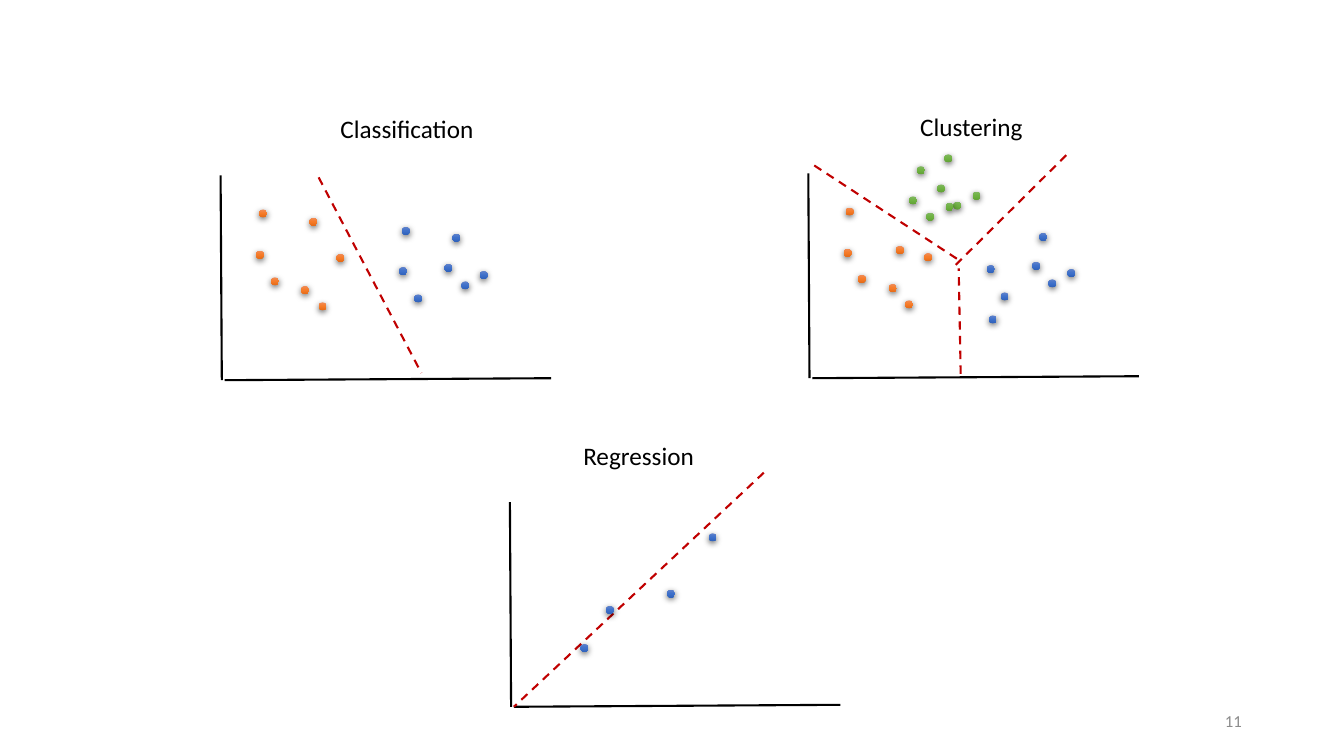
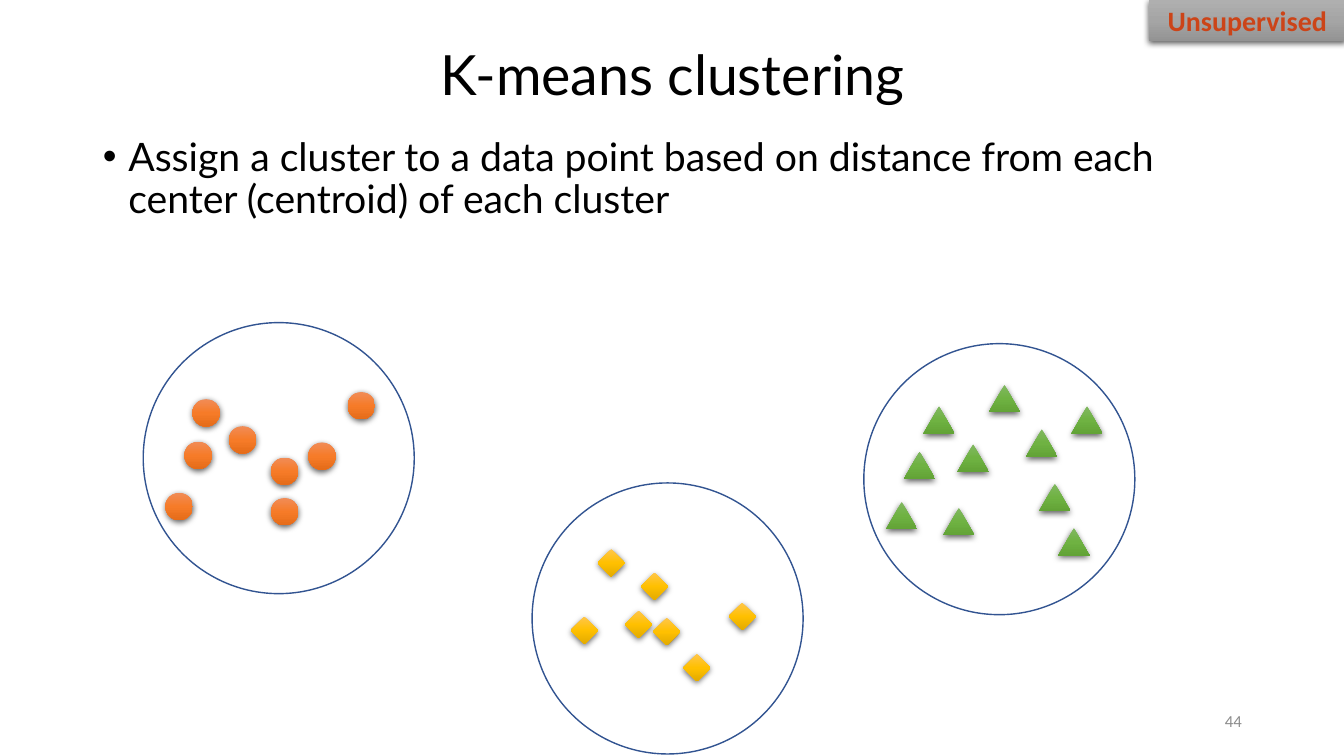
"""Build two slides on classification, clustering and regression."""
from dataclasses import dataclass
from lxml import etree
from pptx import Presentation
from pptx.dml.color import RGBColor
from pptx.enum.dml import MSO_LINE_DASH_STYLE as Dash
from pptx.enum.shapes import MSO_CONNECTOR as Link, MSO_SHAPE as Kind
from pptx.enum.text import MSO_ANCHOR as Anchor, MSO_AUTO_SIZE as Fit, PP_ALIGN as Align
from pptx.oxml import parse_xml
from pptx.oxml.ns import nsdecls, qn
from pptx.util import Cm, Pt


@dataclass(frozen=True)
class Theme:
    head: str = "Lato"
    font: str = "Calibri"
    black: str = "000000"
    cut: str = "C00000"
    ring: str = "325491"
    page: str = "8C8C8C"
    alert: str = "CC4418"
    orange: tuple = ("F18C57", "F67B28", "E56C19")
    blue: tuple = ("6183CB", "3E70CA", "3062BB")
    green: tuple = ("81B861", "6FB242", "62A336")
    gold: tuple = ("FFC64B", "FFC000", "E3AB00")
    gray: tuple = ("AFAFAF", "A5A5A5", "939393")
    title_size: float = 39.6
    body_size: int = 28
    badge_size: int = 20
    label_size: int = 18
    page_size: int = 12


T = Theme()
DOT = (0.2, 0.2)
MARK = (0.69, 0.69)
WEDGE = (0.79, 0.69)
RING = 6.83

PLOTS = [
    ("Classification", (8.33, 2.72, 4.04), (5.56, 4.42),
     [((8.03, 4.47), (10.62, 9.4))],
     [(T.orange, [(6.53, 5.28), (7.8, 5.49), (6.45, 6.32), (7.59, 7.21),
                  (6.83, 6.99), (8.03, 7.62), (8.48, 6.4)]),
      (T.blue, [(10.13, 5.72), (11.4, 5.89), (10.06, 6.73), (11.2, 6.65),
                (10.44, 7.42), (11.63, 7.09), (12.09, 6.83)])]),
    ("Clustering", (22.94, 2.69, 3.12), (20.37, 4.37),
     [((20.52, 4.17), (24.13, 6.53)), ((26.87, 3.91), (24.05, 6.71)),
      ((24.21, 9.42), (24.16, 6.76))],
     [(T.orange, [(21.31, 5.23), (22.58, 6.2), (21.26, 6.27), (22.4, 7.16),
                  (21.62, 6.93), (22.81, 7.57), (23.29, 6.38)]),
      (T.blue, [(24.92, 7.95), (26.19, 5.87), (24.87, 6.68), (26.01, 6.6),
                (25.22, 7.37), (26.42, 7.04), (26.9, 6.78)]),
      (T.green, [(23.8, 3.89), (23.62, 4.65), (24.03, 5.08), (24.51, 4.83),
                 (23.11, 4.19), (22.91, 4.95), (23.34, 5.36), (23.83, 5.11)])]),
    ("Regression", (14.45, 10.97, 3.33), (12.85, 12.65),
     [((19.25, 11.91), (12.95, 17.81))],
     [(T.blue, [(17.86, 13.44), (16.81, 14.86), (15.27, 15.27), (14.63, 16.23)])]),
]

GROUPS = [
    (Kind.OVAL, MARK, T.orange, (3.61, 8.13),
     [(8.76, 9.88), (4.85, 10.06), (5.77, 10.74), (6.83, 11.53),
      (7.77, 11.15), (4.17, 12.42), (6.83, 12.55), (4.65, 11.13)]),
    (Kind.ISOSCELES_TRIANGLE, WEDGE, T.green, (21.77, 8.66),
     [(22.78, 11.38), (24.13, 11.2), (23.27, 10.24), (25.86, 10.82), (22.33, 12.65),
      (24.92, 9.7), (23.77, 12.8), (26.19, 12.19), (27, 10.24), (26.67, 13.31)]),
    (Kind.DIAMOND, MARK, T.gold, (13.41, 12.17),
     [(15.75, 15.39), (16.15, 14.43), (18.36, 15.19), (16.46, 15.57),
      (15.06, 13.84), (17.22, 16.48), (14.38, 15.54)]),
]


def rgb(code):
    return RGBColor.from_string(code)


def write(frame, text, size, color=T.black, font=T.font, align=Align.LEFT, bold=False):
    para = frame.paragraphs[0]
    para.text = text
    para.alignment = align
    face = para.font
    face.name, face.size, face.bold = font, Pt(size), bold
    face.color.rgb = rgb(color)
    return para


def add_text(slide, box, text, size, color=T.black, align=Align.LEFT,
             anchor=Anchor.TOP, wrap=True):
    frame = slide.shapes.add_textbox(*map(Cm, box)).text_frame
    frame.word_wrap = wrap
    frame.vertical_anchor = anchor
    write(frame, text, size, color, align=align)


def add_page(slide, number):
    add_text(slide, (23.93, 17.65, 7.62, 1.02), number, T.page_size, T.page,
             Align.RIGHT, Anchor.MIDDLE)


def add_line(slide, start, end, color=T.black, dash=None):
    line = slide.shapes.add_connector(Link.STRAIGHT, *map(Cm, (*start, *end)))
    line.line.color.rgb = rgb(color)
    line.line.width = Pt(1.5)
    if dash:
        line.line.dash_style = dash
    etree.SubElement(line._element.spPr, qn("a:effectLst"))


def add_solid(slide, kind, box, tones):
    shape = slide.shapes.add_shape(kind, *map(Cm, box))
    shape.line.fill.background()
    shape.shadow.inherit = False
    stops = "".join(f'<a:gs pos="{i * 50000}"><a:srgbClr val="{tone}"/></a:gs>'
                    for i, tone in enumerate(tones))
    props = shape._element.spPr
    props.find(qn("a:ln")).addprevious(parse_xml(
        f'<a:gradFill {nsdecls("a")} rotWithShape="1"><a:gsLst>{stops}</a:gsLst>'
        '<a:lin ang="5400000" scaled="0"/></a:gradFill>'))
    props.find(qn("a:effectLst")).append(parse_xml(
        f'<a:outerShdw {nsdecls("a")} blurRad="57150" dist="19050" dir="5400000" '
        'algn="ctr" rotWithShape="0"><a:srgbClr val="000000">'
        '<a:alpha val="63000"/></a:srgbClr></a:outerShdw>'))
    return shape


def add_marks(slide, kind, size, tones, spots):
    for spot in spots:
        add_solid(slide, kind, (*spot, *size), tones)


def add_ring(slide, spot):
    ring = slide.shapes.add_shape(Kind.OVAL, *map(Cm, (*spot, RING, RING)))
    ring.fill.background()
    ring.line.color.rgb = rgb(T.ring)
    ring.line.width = Pt(1)
    ring.shadow.inherit = False


def add_plot(slide, name, label, origin, cuts, sets):
    x, y = origin
    add_line(slide, origin, (x + 0.03, y + 5.16))
    add_line(slide, (x + 8.33, y + 5.11), (x + 0.1, y + 5.16))
    for start, end in cuts:
        add_line(slide, start, end, T.cut, Dash.DASH)
    for tones, spots in sets:
        add_marks(slide, Kind.OVAL, DOT, tones, spots)
    add_text(slide, (*label, 1.02), name, T.label_size, wrap=False)


def add_badge(slide, text):
    badge = add_solid(slide, Kind.RECTANGLE, (28.96, 0, 4.95, 1.04), T.gray)
    badge.text_frame.vertical_anchor = Anchor.MIDDLE
    write(badge.text_frame, text, T.badge_size, T.alert, align=Align.CENTER, bold=True)


def fill_holder(holder, box, text, size, align, anchor):
    holder.left, holder.top, holder.width, holder.height = map(Cm, box)
    frame = holder.text_frame
    frame.auto_size = Fit.NONE
    frame.vertical_anchor = anchor
    para = write(frame, text, size, font=T.head, align=align)
    para.line_spacing = 0.9
    para.space_before = Pt(0)
    return para


def add_title(slide, text):
    fill_holder(slide.shapes.title, (2.34, 1.02, 29.21, 1.85), text,
                T.title_size, Align.CENTER, Anchor.MIDDLE)


def add_list(slide, text):
    para = fill_holder(slide.placeholders[1], (2.34, 3.33, 29.21, 13.84), text,
                       T.body_size, Align.LEFT, Anchor.TOP)
    props = para._p.get_or_add_pPr()
    props.set("marL", str(Cm(0.64)))
    props.set("indent", str(Cm(-0.64)))
    bullet = [parse_xml(f'<a:buFont {nsdecls("a")} typeface="Arial"/>'),
              parse_xml(f'<a:buChar {nsdecls("a")} char="•"/>')]
    props.find(qn("a:spcBef")).addnext(bullet[0])
    bullet[0].addnext(bullet[1])


def add_tasks(deck):
    slide = deck.slides.add_slide(deck.slide_layouts[6])
    for plot in PLOTS:
        add_plot(slide, *plot)
    add_page(slide, "11")


def add_means(deck):
    slide = deck.slides.add_slide(deck.slide_layouts[1])
    add_title(slide, "K-means clustering")
    add_list(slide, "Assign a cluster to a data point based on distance from each "
                    "center (centroid) of each cluster")
    for kind, size, tones, ring, spots in GROUPS:
        add_marks(slide, kind, size, tones, spots)
        add_ring(slide, ring)
    add_badge(slide, "Unsupervised")
    add_page(slide, "44")


def main():
    deck = Presentation()
    deck.slide_width, deck.slide_height = Cm(33.87), Cm(19.05)
    add_tasks(deck)
    add_means(deck)
    deck.save("out.pptx")


if __name__ == "__main__":
    main()
